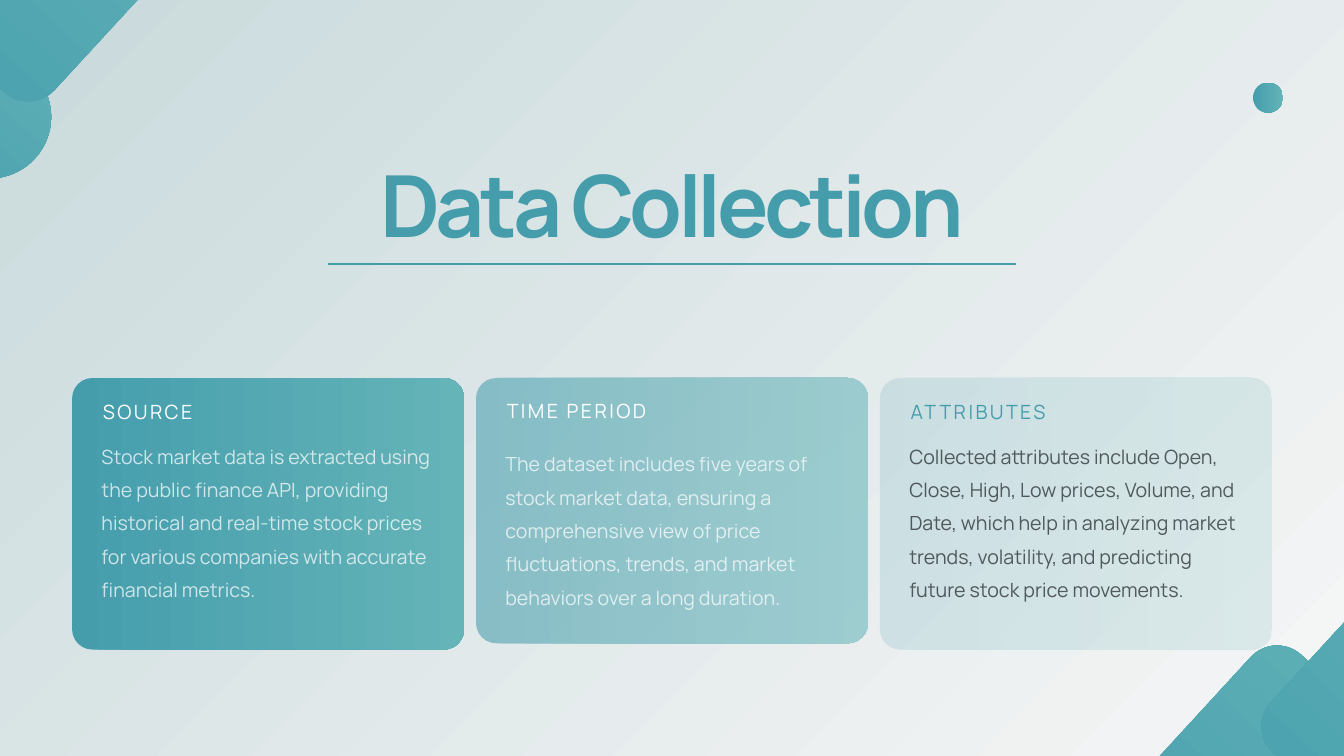
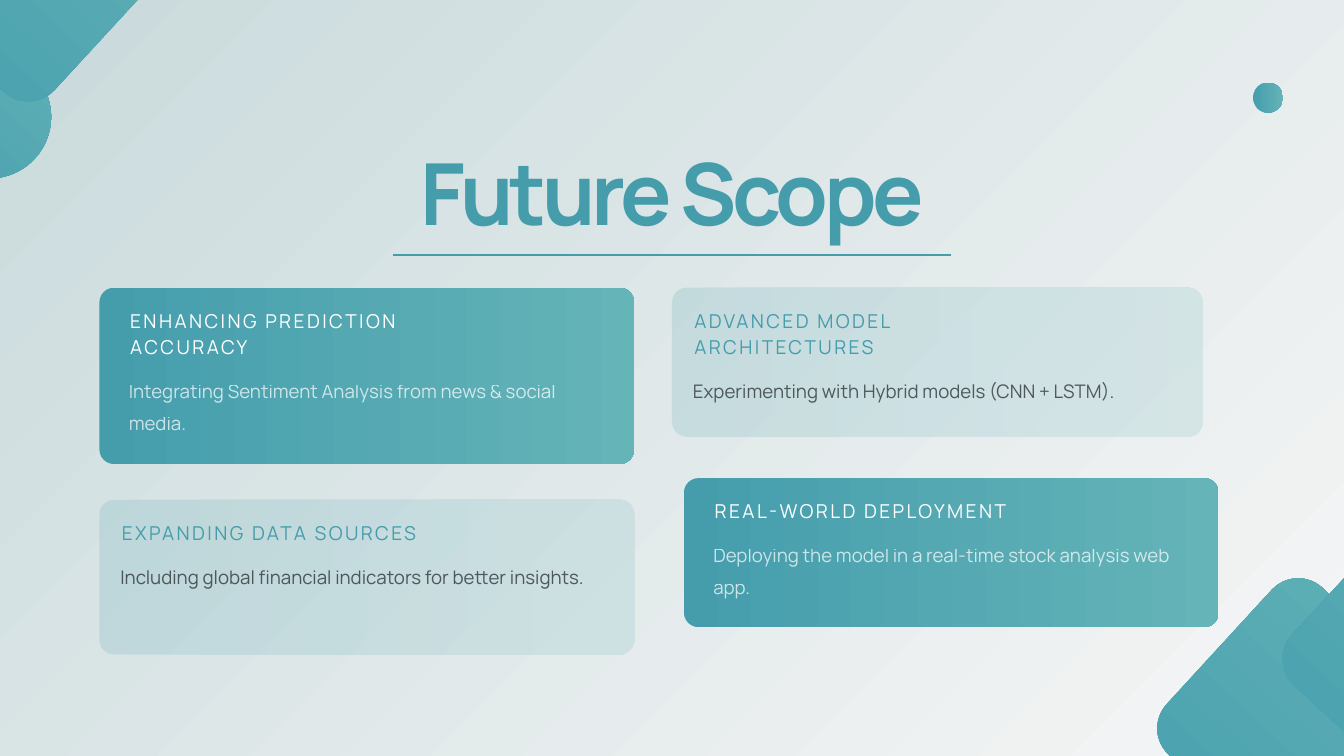
from dataclasses import dataclass

from lxml.etree import SubElement
from pptx import Presentation
from pptx.dml.color import RGBColor
from pptx.enum.shapes import MSO_CONNECTOR as Link, MSO_SHAPE as Shape
from pptx.enum.text import MSO_ANCHOR as Anchor, MSO_AUTO_SIZE as Fit, PP_ALIGN as Align
from pptx.oxml.ns import qn
from pptx.util import Emu, Pt

WIDE, HIGH = 1920, 1080
MID = WIDE // 2
TILT = 312.6


@dataclass(frozen=True)
class Type:
    size: float
    lead: float
    space: float = 0
    bold: bool = False


@dataclass(frozen=True)
class Look:
    alpha: int
    head: str
    body: str


class Theme:
    font = "Manrope"
    teal, mint, white, ink = "459DAC", "64B4B8", "FFFFFF", "202729"
    back = ("C9DADC", "F6F6F6")
    soft = 72  # opacity of body text, percent
    title = Type(91.7, 88, -4.7, True)
    # (heading, body) type for each card size
    tall = (Type(21, 29.4, 2.6), Type(21, 35.7))
    flat = (Type(20.5, 28.7, 2.6), Type(20, 34))
    strong = Look(100, white, white)
    medium = Look(57, white, white)
    pale = Look(17, teal, ink)


@dataclass(frozen=True)
class Card:
    look: Look
    box: tuple
    head: str
    body: str
    drop: int = 81  # from card top to body text
    pad: int = 42
    wide: int = 485  # body width
    cap: int = 481  # heading width


def px(n):
    return Emu(round(n * 9525))


def apply(item, **form):
    for name, value in form.items():
        setattr(item, name, value)


def fade(node, alpha):
    """Set the opacity of every colour below a node."""
    if alpha < 100:
        for tint in node.iter(qn("a:srgbClr")):
            SubElement(tint, qn("a:alpha"), val=str(alpha * 1000))


def blend(fill, pair, angle=0):
    fill.gradient()
    fill.gradient_angle = angle
    for stop, tint, pos in zip(fill.gradient_stops, pair, (0, 1)):
        apply(stop, position=pos)
        stop.color.rgb = RGBColor.from_string(tint)


def block(slide, kind, box, alpha=100, turn=0, curve=None):
    """Preset shape with the teal gradient; curve is a corner radius."""
    item = slide.shapes.add_shape(kind, *map(px, box))
    item.shadow.inherit = False
    item.line.fill.background()
    item.rotation = turn
    if curve:
        item.adjustments[0] = curve / min(box[2:])
    blend(item.fill, (Theme.teal, Theme.mint))
    fade(item.fill._xPr, alpha)


def write(item, text, style, tint, alpha=100, align=Align.LEFT):
    frame = item.text_frame
    apply(frame, word_wrap=True, auto_size=Fit.SHAPE_TO_FIT_TEXT, vertical_anchor=Anchor.TOP,
          margin_left=0, margin_top=0, margin_right=0, margin_bottom=0)
    para = frame.paragraphs[0]
    apply(para, alignment=align, line_spacing=Pt(style.lead), space_before=Pt(0))
    run = para.add_run()
    run.text = text
    apply(run.font, name=Theme.font, size=Pt(style.size), bold=style.bold)
    run.font.color.rgb = RGBColor.from_string(tint)
    props = run._r.get_or_add_rPr()
    if style.space:
        props.set("spc", str(round(style.space * 100)))
    fade(props, alpha)


def label(slide, box, *args):
    write(slide.shapes.add_textbox(*map(px, box)), *args)


def rule(slide, top, half):
    line = slide.shapes.add_connector(Link.STRAIGHT, px(MID - half), px(top), px(MID + half), px(top))
    line.line.color.rgb = RGBColor.from_string(Theme.teal)
    line.line.width = Pt(2.25)
    SubElement(line._element.spPr, qn("a:effectLst"))


def tile(slide, left, top):
    """Large tilted square with round corners."""
    block(slide, Shape.ROUNDED_RECTANGLE, (left, top, 324, 324), turn=TILT, curve=51)


def start(deck, text, top, wide, gap, half):
    """Slide with background, top decoration, title and its rule."""
    slide = deck.slides.add_slide(deck.slide_layouts[5])
    blend(slide.background.fill, Theme.back, 315)
    block(slide, Shape.OVAL, (-103, 79, 176, 176), turn=TILT)
    block(slide, Shape.OVAL, (1790, 118, 43, 43))
    tile(slide, -128, -225)
    title = slide.shapes.title
    apply(title, left=px(MID - wide / 2), top=px(top), width=px(wide), height=px(132))
    write(title, text, Theme.title, Theme.teal, 100, Align.CENTER)
    rule(slide, top + gap, half)
    return slide


def panel(slide, card, types, curve):
    left, top = card.box[:2]
    left += card.pad
    head, body = types
    block(slide, Shape.ROUNDED_RECTANGLE, card.box, card.look.alpha, curve=curve)
    label(slide, (left, top + card.drop, card.wide, 86), card.body, body, card.look.body, Theme.soft)
    label(slide, (left + 2, top + 25, card.cap, card.drop - 44), card.head, head, card.look.head)


def corner(slide, left, top):
    for step in range(2):
        tile(slide, left + 179 * step, top - 99 * step)


def collect(deck):
    slide = start(deck, "Data Collection", 246, 1319, 131, 492)
    facts = (
        (Theme.strong, 388, 81, "SOURCE",
         "Stock market data is extracted using the public finance API, providing historical and "
         "real-time stock prices for various companies with accurate financial metrics."),
        (Theme.medium, 379, 92, "TIME PERIOD",
         "The dataset includes five years of stock market data, ensuring a comprehensive view of "
         "price fluctuations, trends, and market behaviors over a long duration."),
        (Theme.pale, 388, 81, "ATTRIBUTES",
         "Collected attributes include Open, Close, High, Low prices, Volume, and Date, which help "
         "in analyzing market trends, volatility, and predicting future stock price movements."),
    )
    for col, (look, high, drop, head, body) in enumerate(facts):
        box = (103 + 577 * col, 540, 560, high)
        panel(slide, Card(look, box, head, body, drop), Theme.tall, 29)
    corner(slide, 1669, 968)


def future(deck):
    slide = start(deck, "Future Scope", 229, 1449, 135, 399)
    cards = (
        Card(Theme.strong, (142, 411, 764, 252), "ENHANCING PREDICTION ACCURACY",
             "Integrating Sentiment Analysis from news & social media.", drop=119, wide=654),
        Card(Theme.pale, (142, 714, 764, 221), "EXPANDING DATA SOURCES",
             "Including global financial indicators for better insights.", pad=30, wide=672, cap=552),
        Card(Theme.pale, (960, 411, 758, 213), "ADVANCED MODEL ARCHITECTURES",
             "Experimenting with Hybrid models (CNN + LSTM).", drop=119, pad=30, wide=667, cap=547),
        Card(Theme.strong, (977, 683, 764, 213), "REAL-WORLD DEPLOYMENT",
             "Deploying the model in a real-time stock analysis web app.", wide=654),
    )
    for card in cards:
        panel(slide, card, Theme.flat, 21)
    corner(slide, 1699, 872)


def main():
    deck = Presentation()
    apply(deck, slide_width=px(WIDE), slide_height=px(HIGH))
    collect(deck)
    future(deck)
    deck.save("out.pptx")


if __name__ == "__main__":
    main()
